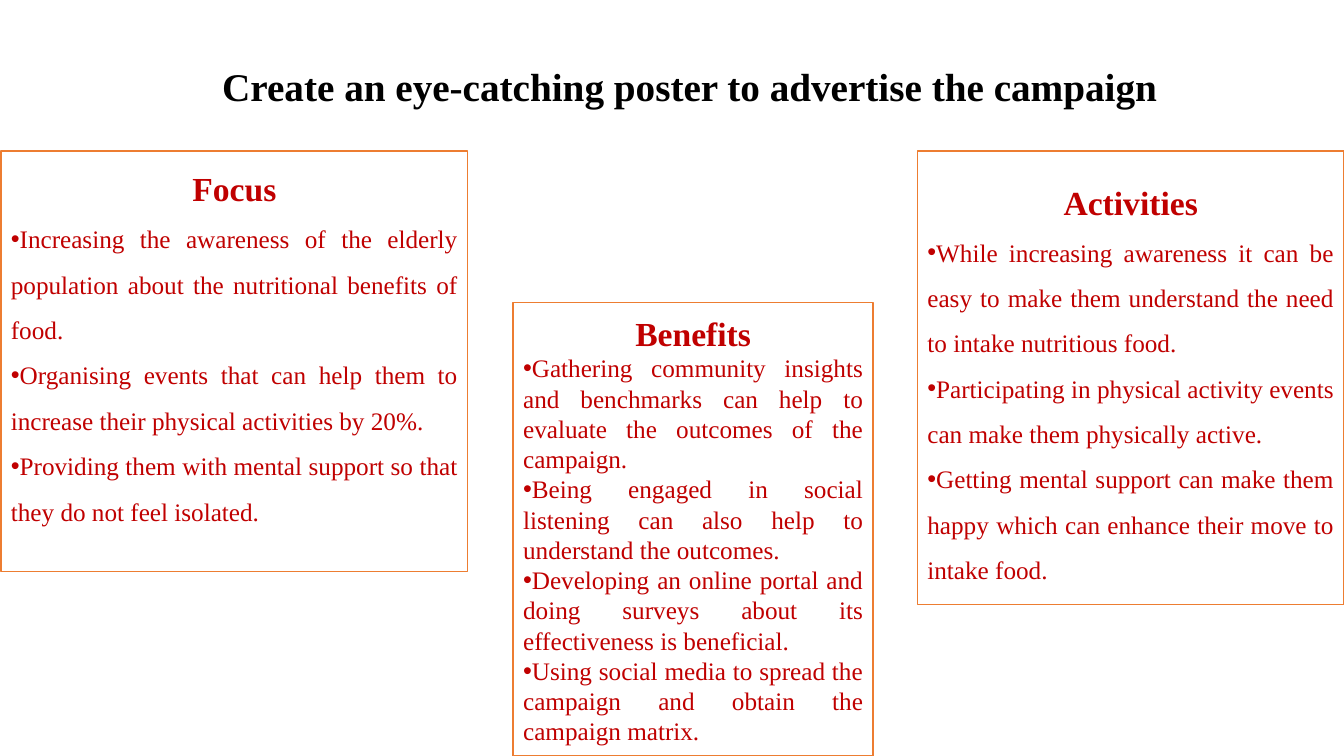
from dataclasses import dataclass

from lxml import etree
from pptx import Presentation
from pptx.dml.color import RGBColor
from pptx.enum.shapes import MSO_SHAPE
from pptx.enum.text import MSO_ANCHOR, PP_ALIGN
from pptx.oxml.ns import qn
from pptx.slide import Slide
from pptx.util import Inches, Pt

RECTANGLE = MSO_SHAPE.RECTANGLE
MIDDLE = MSO_ANCHOR.MIDDLE
CENTER = PP_ALIGN.CENTER
JUSTIFY = PP_ALIGN.JUSTIFY


@dataclass(frozen=True)
class Theme:
    font: str = "Times New Roman"
    bullet_font: str = "Arial"
    title_color: RGBColor = RGBColor(0x00, 0x00, 0x00)
    panel_text: RGBColor = RGBColor(0xC0, 0x00, 0x00)
    panel_fill: RGBColor = RGBColor(0xFF, 0xFF, 0xFF)
    panel_border: RGBColor = RGBColor(0xED, 0x7D, 0x31)
    title_size: int = 28
    heading_size: int = 24
    body_size: int = 18


@dataclass(frozen=True)
class Panel:
    heading: str
    points: tuple[str, ...]
    left: float
    top: float
    width: float
    height: float
    line_spacing: float
    top_inset: float = 0.05
    bottom_inset: float = 0.05


THEME = Theme()
TITLE = "Create an eye-catching poster to advertise the campaign"
PANELS = (
    Panel(
        "Focus",
        (
            "Increasing the awareness of the elderly population about the nutritional benefits of food.",
            "Organising events that can help them to increase their physical activities by 20%.",
            "Providing them with mental support so that they do not feel isolated.",
        ),
        0.01, 1.5, 4.63, 4.17, 1.5, bottom_inset=0.33,
    ),
    Panel(
        "Activities",
        (
            "While increasing awareness it can be easy to make them understand the need to intake nutritious food.",
            "Participating in physical activity events can make them physically active.",
            "Getting mental support can make them happy which can enhance their move to intake food.",
        ),
        9.1, 1.5, 4.23, 4.5, 1.5, top_inset=0.15,
    ),
    Panel(
        "Benefits",
        (
            "Gathering community insights and benchmarks can help to evaluate the outcomes of the campaign.",
            "Being engaged in social listening can also help to understand the outcomes.",
            "Developing an online portal and doing surveys about its effectiveness is beneficial.",
            "Using social media to spread the campaign and obtain the campaign matrix.",
        ),
        5.09, 3, 3.57, 4.5, 1.0,
    ),
)


def format_paragraph(paragraph, align: PP_ALIGN, spacing: float, size: int,
                     color: RGBColor, bold: bool) -> None:
    paragraph.alignment = align
    paragraph.line_spacing = spacing
    for run in paragraph.runs:
        run.font.name = THEME.font
        run.font.size = Pt(size)
        run.font.bold = bold
        run.font.color.rgb = color


def add_bullet(paragraph) -> None:
    properties = paragraph._p.get_or_add_pPr()
    properties.set("marL", "0")
    properties.set("indent", "0")
    etree.SubElement(properties, qn("a:buFont"), typeface=THEME.bullet_font)
    etree.SubElement(properties, qn("a:buChar"), char="•")


def draw_title(slide: Slide) -> None:
    title = slide.shapes.add_textbox(Inches(1.71), Inches(0.31), Inches(10.26), Inches(1.14))
    frame = title.text_frame
    frame.word_wrap = True
    frame.vertical_anchor = MIDDLE
    frame.text = TITLE
    format_paragraph(frame.paragraphs[0], CENTER, 0.9, THEME.title_size, THEME.title_color, True)


def draw_panel(slide: Slide, panel: Panel) -> None:
    box = slide.shapes.add_shape(RECTANGLE, Inches(panel.left), Inches(panel.top),
                                 Inches(panel.width), Inches(panel.height))
    box.shadow.inherit = False
    box.fill.solid()
    box.fill.fore_color.rgb = THEME.panel_fill
    box.line.color.rgb = THEME.panel_border
    box.line.width = Pt(1)

    frame = box.text_frame
    frame.word_wrap = True
    frame.vertical_anchor = MIDDLE
    frame.margin_top = Inches(panel.top_inset)
    frame.margin_bottom = Inches(panel.bottom_inset)
    frame.text = panel.heading
    format_paragraph(frame.paragraphs[0], CENTER, 1.0, THEME.heading_size, THEME.panel_text, True)
    for point in panel.points:
        paragraph = frame.add_paragraph()
        paragraph.text = point
        add_bullet(paragraph)
        format_paragraph(paragraph, JUSTIFY, panel.line_spacing, THEME.body_size,
                         THEME.panel_text, False)


def main() -> None:
    presentation = Presentation()
    presentation.slide_width = Inches(13.33)
    presentation.slide_height = Inches(7.5)
    slide = presentation.slides.add_slide(presentation.slide_layouts[6])
    draw_title(slide)
    for panel in PANELS:
        draw_panel(slide, panel)
    presentation.save("out.pptx")


if __name__ == "__main__":
    main()
